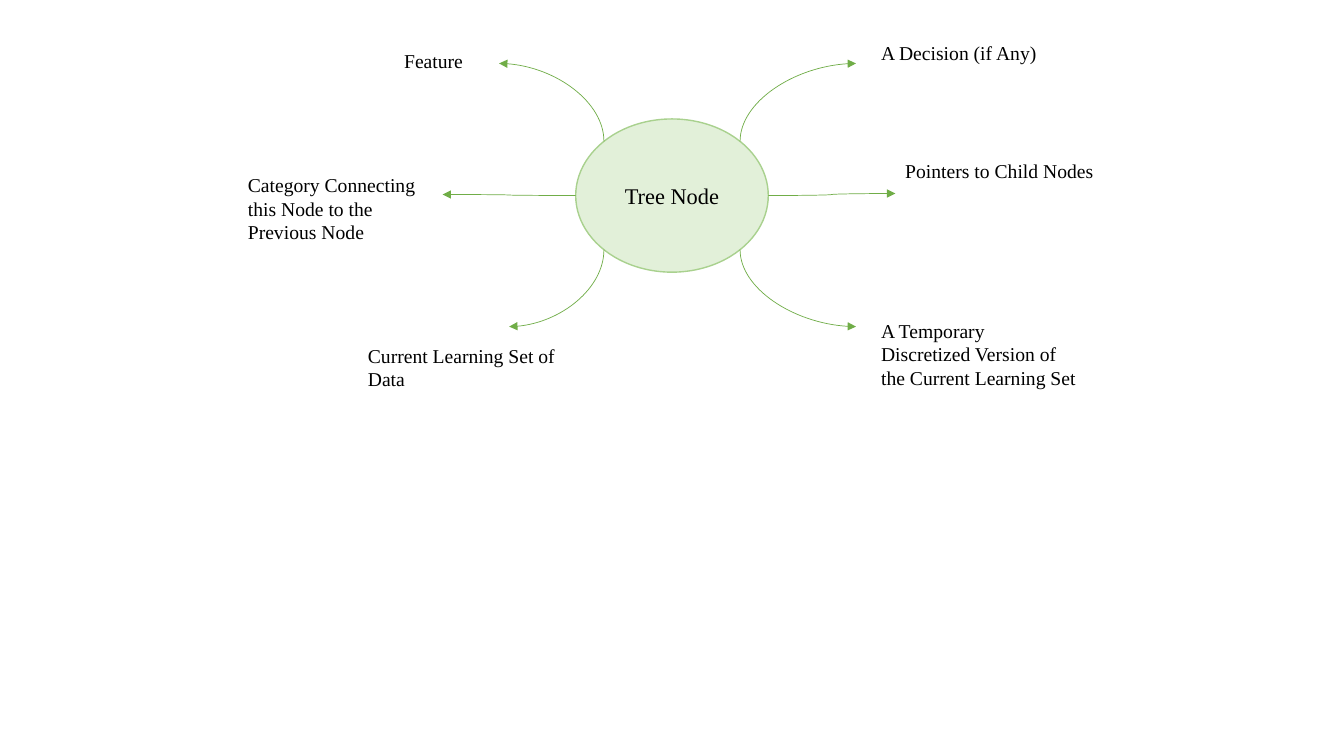
from math import cos, pi, sin

from lxml.etree import SubElement
from pptx import Presentation
from pptx.dml.color import RGBColor
from pptx.enum.shapes import MSO_CONNECTOR, MSO_SHAPE
from pptx.enum.text import MSO_ANCHOR, MSO_AUTO_SIZE, PP_ALIGN
from pptx.oxml.ns import qn
from pptx.util import Inches, Pt

FONT = "Times New Roman"
NODE_BOX = (5.71, 1.18, 1.91, 1.52)

# label text, label box, angle on the node's rim (clockwise from the right), arrow tip
BRANCHES = [
    ("Category Connecting this Node to the Previous Node",
     (2.36, 1.67, 2.15, 0.81), 180, (4.39, 1.93)),
    ("Pointers to Child Nodes", (8.88, 1.53, 2.15, 0.34), 0, (8.88, 1.92)),
    ("Current Learning Set of Data", (3.55, 3.36, 2.15, 0.57), 135, (5.05, 3.24)),
    ("A Temporary Discretized Version of the Current Learning Set",
     (8.64, 3.11, 2.15, 0.81), 45, (8.49, 3.24)),
    ("Feature", (3.91, 0.44, 1.32, 0.34), 225, (4.95, 0.63)),
    ("A Decision (if Any)", (8.64, 0.36, 2.15, 0.34), 315, (8.49, 0.63)),
]


def color(hex_code):
    return RGBColor.from_string(hex_code)


def write(shape, text, size):
    frame = shape.text_frame
    frame.word_wrap = True
    frame.text = text
    paragraph = frame.paragraphs[0]
    paragraph.font.name = FONT
    paragraph.font.size = Pt(size)
    paragraph.font.color.rgb = color("000000")
    return paragraph


def add_node(slide, box, text):
    node = slide.shapes.add_shape(MSO_SHAPE.OVAL, *map(Inches, box))
    node.shadow.inherit = False
    node.fill.solid()
    node.fill.fore_color.rgb = color("E2F0D9")
    node.line.color.rgb = color("A9D18E")
    node.line.width = Pt(1)
    node.text_frame.vertical_anchor = MSO_ANCHOR.MIDDLE
    write(node, text, 16).alignment = PP_ALIGN.CENTER


def add_label(slide, box, text):
    label = slide.shapes.add_textbox(*map(Inches, box))
    write(label, text, 14)
    label.text_frame.auto_size = MSO_AUTO_SIZE.SHAPE_TO_FIT_TEXT


def rim_point(box, degrees):
    left, top, width, height = box
    angle = degrees * pi / 180
    return (left + width / 2 * (1 + cos(angle)),
            top + height / 2 * (1 + sin(angle)))


def add_arrow(slide, start, tip):
    arrow = slide.shapes.add_connector(
        MSO_CONNECTOR.CURVE, *map(Inches, (*start, *tip)))
    arrow.line.color.rgb = color("70AD47")
    arrow.line.width = Pt(0.5)
    properties = arrow.element.spPr
    SubElement(properties.find(qn("a:ln")), qn("a:tailEnd"), type="triangle")
    SubElement(properties, qn("a:effectLst"))
    return arrow


def add_arc_arrow(slide, start, tip):
    """Quarter arc that leaves start vertically and reaches tip horizontally.

    The preset leaves horizontally, so it is laid out turned back by a quarter
    turn about its centre and then rotated.
    """
    half_x, half_y = (tip[0] - start[0]) / 2, (tip[1] - start[1]) / 2
    center_x, center_y = start[0] + half_x, start[1] + half_y
    turn = 1 if half_x * half_y < 0 else -1
    arrow = add_arrow(
        slide,
        (center_x - turn * half_y, center_y + turn * half_x),
        (center_x + turn * half_y, center_y - turn * half_x))
    properties = arrow.element.spPr
    properties.find(qn("a:prstGeom")).set("prst", "curvedConnector2")
    properties.find(qn("a:xfrm")).set("rot", str(turn * 90 % 360 * 60000))


def add_tree_node_diagram(slide, box):
    add_node(slide, box, "Tree Node")
    for text, label_box, angle, tip in BRANCHES:
        draw_arrow = add_arrow if angle % 180 == 0 else add_arc_arrow
        draw_arrow(slide, rim_point(box, angle), tip)
        add_label(slide, label_box, text)


def main():
    presentation = Presentation()
    presentation.slide_width = Inches(13.33)
    presentation.slide_height = Inches(7.5)
    slide = presentation.slides.add_slide(presentation.slide_layouts[6])
    add_tree_node_diagram(slide, NODE_BOX)
    presentation.save("out.pptx")


if __name__ == "__main__":
    main()
